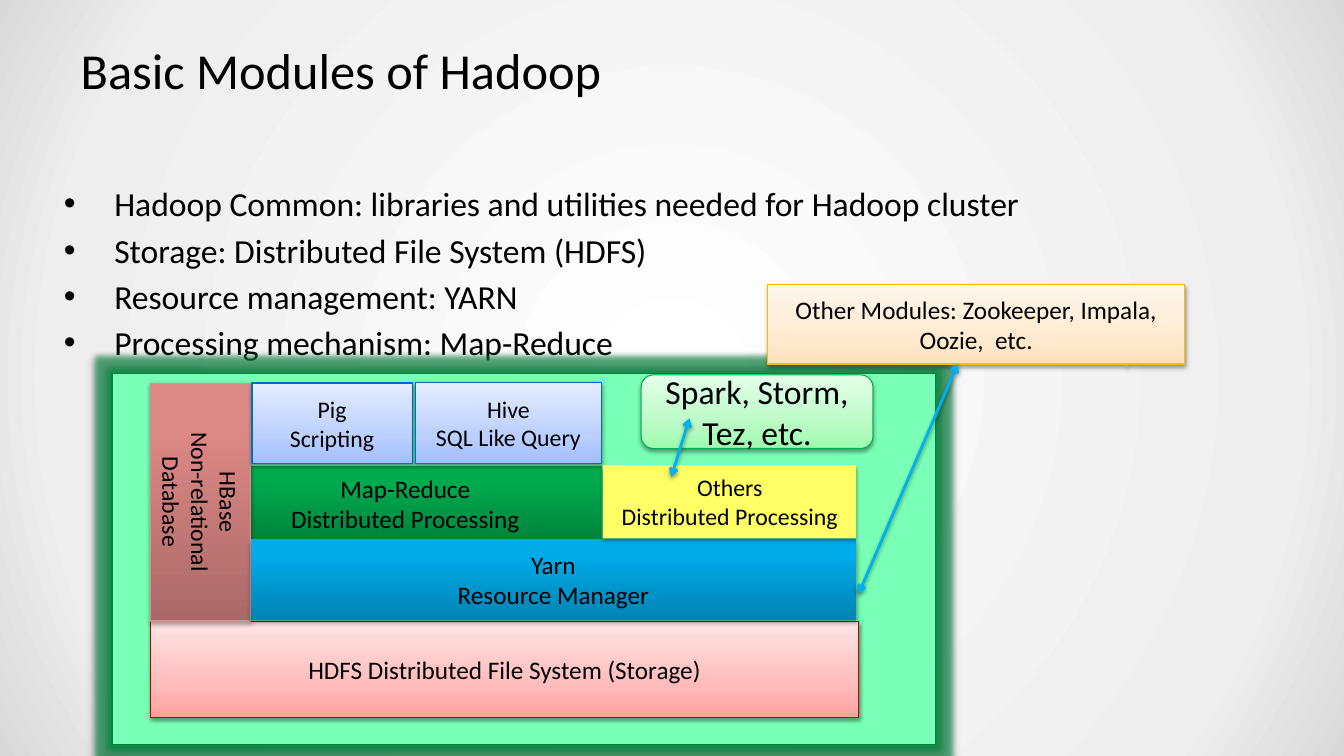
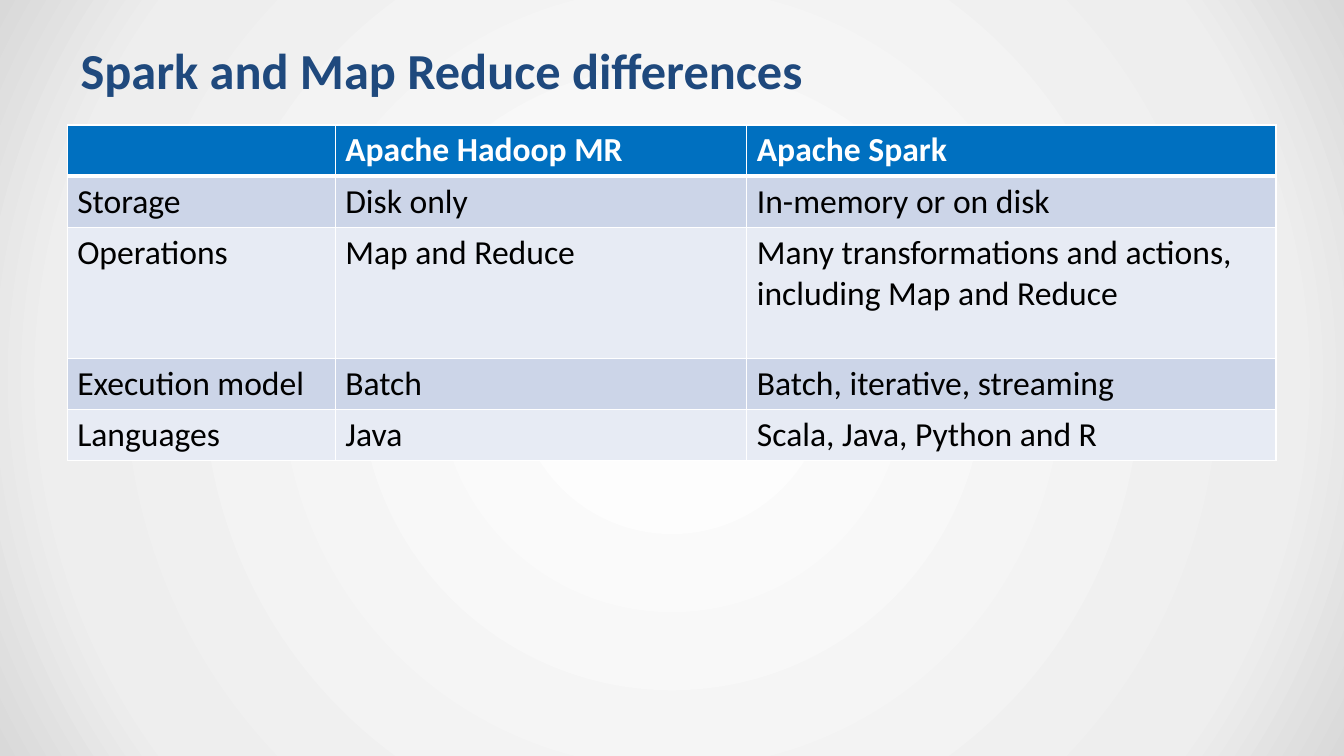
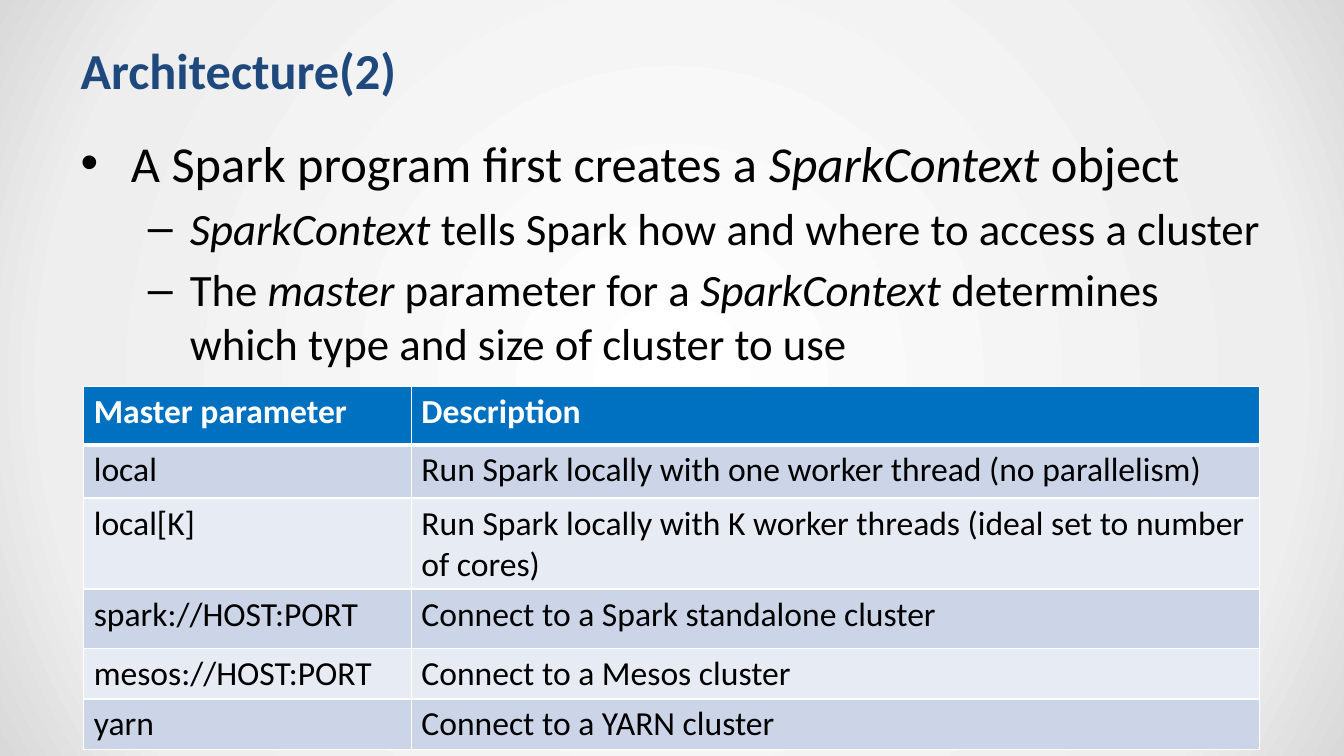
from dataclasses import dataclass

from lxml import etree
from pptx import Presentation
from pptx.dml.color import RGBColor
from pptx.enum.shapes import MSO_CONNECTOR, MSO_SHAPE
from pptx.enum.text import MSO_ANCHOR, MSO_AUTO_SIZE, PP_ALIGN
from pptx.oxml.ns import qn
from pptx.util import Pt

RECT, ROUND = MSO_SHAPE.RECTANGLE, MSO_SHAPE.ROUNDED_RECTANGLE
CALLOUT = MSO_SHAPE.LINE_CALLOUT_1
STRAIGHT = MSO_CONNECTOR.STRAIGHT
LEFT, CENTER = PP_ALIGN.LEFT, PP_ALIGN.CENTER
MIDDLE, NO_AUTOFIT = MSO_ANCHOR.MIDDLE, MSO_AUTO_SIZE.NONE


@dataclass(frozen=True)
class Theme:
    font: str = "Calibri"
    text: str = "000000"
    white: str = "FFFFFF"
    navy: str = "1F497D"
    header: str = "0070C0"
    bands: tuple = ("CCD5E8", "E7EBF4")
    arrow: str = "00B0F0"
    background: tuple = ((0, "FFFFFF"), (81, "EEEEEE"), (100, "D9D9D9"))
    title_size: float = 36
    table_size: float = 24
    box_size: float = 18
    small_size: float = 17
    body_gap: float = 0.18  # space before, as a share of the type size


T = Theme()
SLIDE = (960, 540)
TITLE_BOX = (48, 21.6, 864, 56)
INSETS = (9.6, 4.8)
BULLETS = (("•", 36, 36), ("–", 78, 30))  # mark, text indent, hanging

# Shadow: opacity %, blur, distance
SOFT, DEEP, PANEL_SHADOW = (38, 3.1, 1.6), (35, 3.1, 1.8), (40, 4, 3)
GLOW = ("00843C", 60, 8)  # colour, opacity %, radius

BLUE = ((0, "A0BEFF"), (35, "BCD0FF"), (100, "E5EDFF"))
RED = ((0, "FFA0A0"), (35, "FFBCBC"), (100, "FFE5E5"))
ORANGE = ((0, "FFE2BD"), (35, "FFEAD1"), (100, "FFF7EE"))
MINT = ((0, "9DFCAE"), (35, "BBFBC6"), (100, "E4FFE9"))
GREEN = ((0, "00833C"), (80, "00AB4E"), (100, "00AB4E"))
ROSE = ((0, "AA6967"), (80, "DC8885"), (100, "DF8784"))
CYAN = ((0, "0083B3"), (80, "00ABE9"), (100, "00ABEA"))

MODULES = [(0, 24, [line]) for line in (
    "Hadoop Common: libraries and utilities needed for Hadoop cluster",
    "Storage: Distributed File System (HDFS)",
    "Resource management: YARN",
    "Processing mechanism: Map-Reduce",
)]

# Lines of text, place, preset, fill, line, type size, shadow
STACK = [
    ([], (80, 266.5, 588, 265), RECT, "79FFB6", "00843C", T.box_size, PANEL_SHADOW),
    (["Map-Reduce", "Distributed Processing"], (149, 333.4, 281, 52.6),
     RECT, GREEN, "00AC4E", T.box_size, DEEP),
    (["HDFS Distributed File System (Storage)"], (107.3, 444.2, 506.2, 68.4),
     RECT, RED, "BC0000", T.box_size, SOFT),
    (["HBase", "Non-relational Database"], (107.3, 273.6, 72, 170),
     RECT, ROSE, "D6918F", T.small_size, DEEP),
    (["Yarn", "Resource Manager"], (179.3, 385.2, 432, 57.6),
     RECT, CYAN, None, T.box_size, DEEP),
    (["Pig", "Scripting"], (180, 273.6, 114.5, 57.6),
     RECT, BLUE, "006EBC", T.small_size, SOFT),
    (["Hive", "SQL Like Query"], (296.6, 273, 133.2, 58.2),
     RECT, BLUE, "006EBC", T.small_size, SOFT),
    (["Other Modules: Zookeeper, Impala, Oozie,  etc."], (548.6, 203, 297.4, 57),
     CALLOUT, ORANGE, "F9BC00", T.box_size, SOFT),
    (["Others", "Distributed Processing"], (431.3, 332.6, 180, 51.1),
     RECT, "FFFF66", "FFFF66", T.small_size, DEEP),
    (["Spark, Storm, Tez, etc."], (458, 267.8, 165.6, 52.6),
     ROUND, MINT, "00AC4E", 24, SOFT),
]
CALLOUT_ADJUST = (1, 0.86, 1.04, 0.86)
ARROWS = [(492.5, 298.8, 479.5, 340.6), (684, 260, 613.4, 424)]

DIFFERENCES = [
    ("", "Apache Hadoop MR", "Apache Spark"),
    ("Storage", "Disk only", "In-memory or on disk"),
    ("Operations", "Map and Reduce",
     "Many transformations and actions, including Map and Reduce"),
    ("Execution model", "Batch", "Batch, iterative, streaming"),
    ("Languages", "Java", "Scala, Java, Python and R"),
]

# Level, type size, runs; odd runs are italic
CONTEXT = [
    (0, 36, ["A Spark program first creates a ", "SparkContext", " object"]),
    (1, 32, ["", "SparkContext", " tells Spark how and where to access a cluster"]),
    (1, 32, ["The ", "master ", "parameter for a ", "SparkContext",
             " determines which type and size of cluster to use"]),
]
MASTERS = [
    ("Master parameter", "Description"),
    ("local", "Run Spark locally with one worker thread (no parallelism)"),
    ("local[K]",
     "Run Spark locally with K worker threads (ideal set to number of cores)"),
    ("spark://HOST:PORT", "Connect to a Spark standalone cluster"),
    ("mesos://HOST:PORT", "Connect to a Mesos cluster"),
    ("yarn", "Connect to a YARN cluster"),
]


def rgb(color):
    return RGBColor.from_string(color)


def pts(values):
    return [Pt(v) for v in values]


def add(parent, tag, **attrs):
    child = etree.SubElement(parent, qn(tag))
    for name, value in attrs.items():
        child.set(name, str(value))
    return child


def add_color(parent, color, opacity):
    clr = add(parent, "a:srgbClr", val=color)
    add(clr, "a:alpha", val=opacity * 1000)


def set_gradient(fill, element, stops, radial=False):
    """Give fill the stops, running upwards or out from the centre."""
    fill.gradient()
    grad = next(element.iter(qn("a:gradFill")))
    for child in list(grad):
        grad.remove(child)
    stop_list = add(grad, "a:gsLst")
    for pos, color in stops:
        add(add(stop_list, "a:gs", pos=pos * 1000), "a:srgbClr", val=color)
    if radial:
        route = add(grad, "a:path", path="circle")
        add(route, "a:fillToRect", l=50000, t=50000, r=50000, b=50000)
    else:
        add(grad, "a:lin", ang=270 * 60000, scaled=0)


def set_effects(effects, shadow, glow=None):
    if glow:
        color, opacity, radius = glow
        add_color(add(effects, "a:glow", rad=Pt(radius)), color, opacity)
    opacity, blur, dist = shadow
    outer = add(effects, "a:outerShdw", blurRad=Pt(blur), dist=Pt(dist),
                dir=90 * 60000, rotWithShape=0)
    add_color(outer, T.text, opacity)


def set_font(p, size, color=T.text, bold=False, align=LEFT):
    p.alignment = align
    p.font.name, p.font.size, p.font.bold = T.font, Pt(size), bold
    p.font.color.rgb = rgb(color)


def set_insets(tf):
    tf.margin_left = tf.margin_right = Pt(INSETS[0])
    tf.margin_top = tf.margin_bottom = Pt(INSETS[1])


def add_slide(prs, title, color=T.navy, bold=True):
    s = prs.slides.add_slide(prs.slide_layouts[5])
    sp = s.shapes.title
    sp.left, sp.top, sp.width, sp.height = pts(TITLE_BOX)
    tf = sp.text_frame
    tf.text, tf.auto_size, tf.vertical_anchor = title, NO_AUTOFIT, MIDDLE
    set_insets(tf)
    set_font(tf.paragraphs[0], T.title_size, color, bold)
    return s


def add_bullets(s, box, items):
    tf = s.shapes.add_textbox(*pts(box)).text_frame
    tf.word_wrap = True
    set_insets(tf)
    for i, (level, size, runs) in enumerate(items):
        p = tf.add_paragraph() if i else tf.paragraphs[0]
        if i:
            p.space_before = Pt(size * T.body_gap)
        p.level = level
        mark, indent, hanging = BULLETS[level]
        pPr = p._p.get_or_add_pPr()
        pPr.set("marL", str(Pt(indent)))
        pPr.set("indent", str(-Pt(hanging)))
        add(pPr, "a:buFont", typeface="Arial")
        add(pPr, "a:buChar", char=mark)
        set_font(p, size)
        for j, text in enumerate(runs):
            if text:
                r = p.add_run()
                r.text, r.font.italic = text, j % 2 == 1


def add_box(s, lines, box, preset, fill, line, size, shadow):
    sp = s.shapes.add_shape(preset, *pts(box))
    if isinstance(fill, str):
        sp.fill.solid()
        sp.fill.fore_color.rgb = rgb(fill)
    else:
        set_gradient(sp.fill, sp._element.spPr, fill)
    if line:
        sp.line.color.rgb, sp.line.width = rgb(line), Pt(0.75)
    else:
        sp.line.fill.background()
    if preset == CALLOUT:
        for i, value in enumerate(CALLOUT_ADJUST):
            sp.adjustments[i] = value
    sp.shadow.inherit = False
    effects = sp._element.spPr.find(qn("a:effectLst"))
    set_effects(effects, shadow, None if lines else GLOW)
    tf = sp.text_frame
    tf.word_wrap, tf.vertical_anchor = True, MIDDLE
    if box[3] > box[2]:
        tf._txBody.bodyPr.set("vert", "vert")
    for i, text in enumerate(lines):
        p = tf.add_paragraph() if i else tf.paragraphs[0]
        p.text = text
        set_font(p, size, align=CENTER)


def add_arrow(s, ends):
    cx = s.shapes.add_connector(STRAIGHT, *pts(ends))
    cx.line.color.rgb, cx.line.width = rgb(T.arrow), Pt(2)
    spPr = cx._element.spPr
    ln = spPr.find(qn("a:ln"))
    for end in ("a:headEnd", "a:tailEnd"):
        add(ln, end, type="arrow")
    set_effects(add(spPr, "a:effectLst"), SOFT)


def set_borders(cell, bottom):
    tcPr = cell._tc.get_or_add_tcPr()
    for i, (side, width) in enumerate((("L", 1), ("R", 1), ("T", 1), ("B", bottom))):
        ln = add(tcPr, f"a:ln{side}", w=Pt(width))
        add(add(ln, "a:solidFill"), "a:srgbClr", val=T.white)
        tcPr.insert(i, ln)


def add_table(s, left, top, widths, heights, rows):
    box = pts((left, top, sum(widths), sum(heights)))
    table = s.shapes.add_table(len(rows), len(widths), *box).table
    for col, width in zip(table.columns, widths):
        col.width = Pt(width)
    for i, (row, height, texts) in enumerate(zip(table.rows, heights, rows)):
        row.height = Pt(height)
        head = i == 0
        for cell, text in zip(row.cells, texts):
            cell.fill.solid()
            cell.fill.fore_color.rgb = rgb(T.header if head else T.bands[(i - 1) % 2])
            set_borders(cell, 3 if head else 1)
            cell.text = text
            set_font(cell.text_frame.paragraphs[0], T.table_size,
                     T.white if head else T.text, head)


def main():
    prs = Presentation()
    prs.slide_width, prs.slide_height = pts(SLIDE)
    master = prs.slide_master
    set_gradient(master.background.fill, master._element, T.background, radial=True)

    s = add_slide(prs, "Basic Modules of Hadoop", T.text, bold=False)
    add_bullets(s, (36, 126, 708, 356), MODULES)
    for part in STACK:
        add_box(s, *part)
    for ends in ARROWS:
        add_arrow(s, ends)

    s = add_slide(prs, "Spark and Map Reduce differences")
    add_table(s, 48, 89.3, (191.5, 294, 378), (36, 36, 93.6, 36, 36), DIFFERENCES)

    s = add_slide(prs, "Architecture(2)")
    add_bullets(s, (48, 89.3, 864, 392), CONTEXT)
    add_table(s, 59.8, 276, (234, 606), (41.8, 38, 65, 42.5, 36, 36), MASTERS)

    prs.save("out.pptx")


if __name__ == "__main__":
    main()
